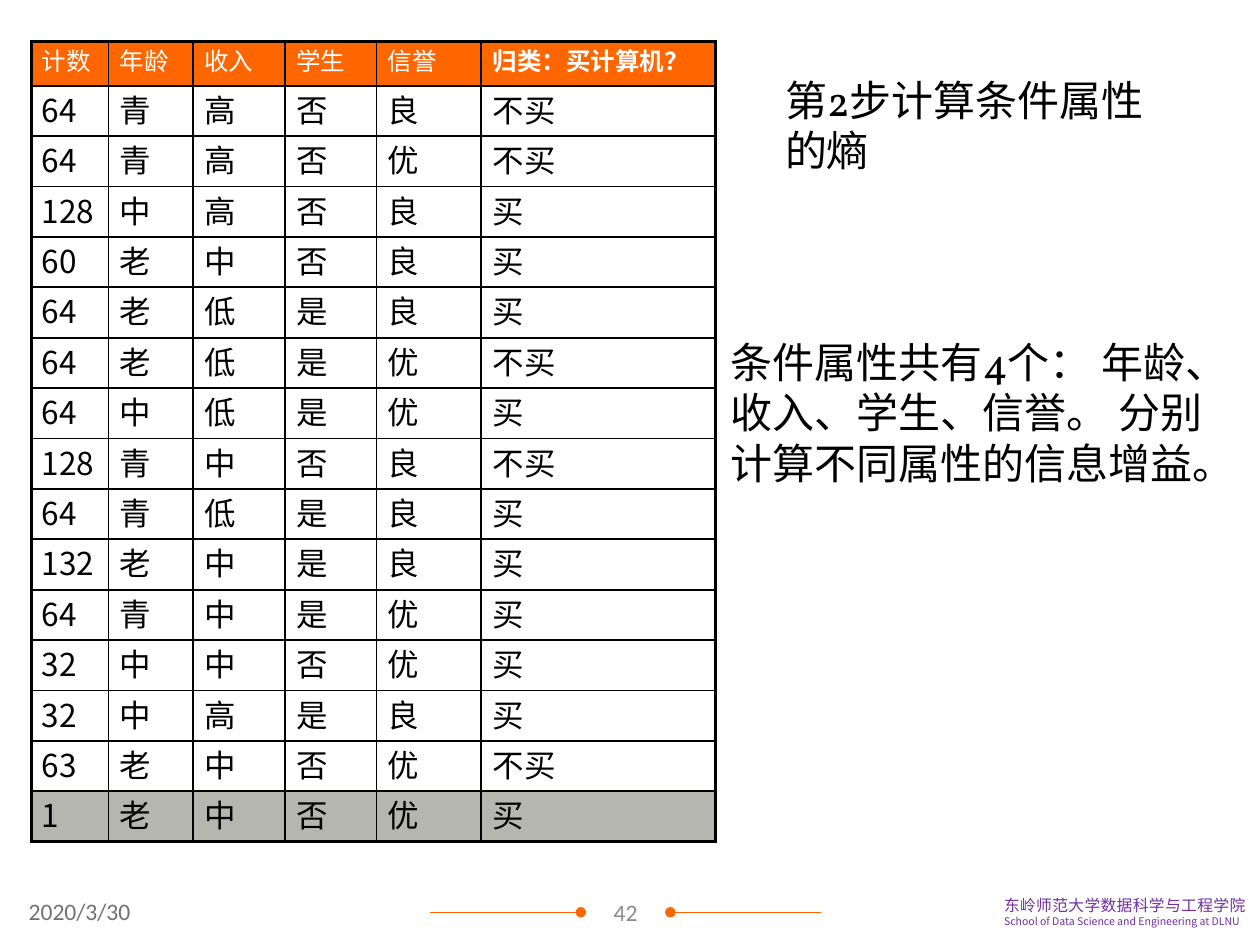
from dataclasses import dataclass

import lxml.etree
import pptx
import pptx.dml.color
import pptx.enum.shapes
import pptx.enum.text
import pptx.oxml.ns
import pptx.util
from pptx.util import Inches, Pt

RGBColor = pptx.dml.color.RGBColor
Align = pptx.enum.text.PP_ALIGN
Anchor = pptx.enum.text.MSO_ANCHOR
qn = pptx.oxml.ns.qn

BLACK = RGBColor(0x00, 0x00, 0x00)
WHITE = RGBColor(0xFF, 0xFF, 0xFF)
ORANGE = RGBColor(0xFF, 0x66, 0x00)
HIGHLIGHT = RGBColor(0xB4, 0xB6, 0xAF)
PAGE_GRAY = RGBColor(0x8C, 0x8C, 0x8C)
DATE_GRAY = RGBColor(0x76, 0x71, 0x71)
PURPLE = RGBColor(0x70, 0x30, 0xA0)

CJK, NUMERAL, FOOTER = "Noto Sans CJK SC", "Vollkorn", "Calibri"
INNER_BORDER, OUTER_BORDER = 1.1, 2.35

COLUMN_WIDTHS = [0.61, 0.67, 0.73, 0.73, 0.83, 1.86]
HEADER_HEIGHT, ROW_HEIGHT = 0.35, 0.4
HEADERS = ["计数", "年龄", "收入", "学生", "信誉", "归类：买计算机？"]
RECORDS = """
64 青 高 否 良 不买
64 青 高 否 优 不买
128 中 高 否 良 买
60 老 中 否 良 买
64 老 低 是 良 买
64 老 低 是 优 不买
64 中 低 是 优 买
128 青 中 否 良 不买
64 青 低 是 良 买
132 老 中 是 良 买
64 青 中 是 优 买
32 中 中 否 优 买
32 中 高 是 良 买
63 老 中 否 优 不买
1 老 中 否 优 买
"""


@dataclass
class TextRun:
    text: str
    size: float
    color: RGBColor
    font: str = CJK
    bold: bool = False
    spacing: float = 0


@dataclass
class TextLine:
    runs: list[TextRun]
    align: Align = Align.LEFT
    line_height: float | None = None


@dataclass
class TextBlock:
    box: tuple[float, float, float, float]
    lines: list[TextLine]
    insets: tuple[float, float, float, float] = (0.1, 0.05, 0.1, 0.05)
    anchor: Anchor = Anchor.TOP
    wrap: bool = True


def add_run(paragraph, item: TextRun) -> None:
    run = paragraph.add_run()
    run.text = item.text
    run.font.name = item.font
    run.font.size = Pt(item.size)
    run.font.bold = item.bold
    run.font.color.rgb = item.color
    properties = run.font._element
    if item.spacing:
        properties.set("spc", str(round(item.spacing * 100)))
    lxml.etree.SubElement(properties, qn("a:ea")).set("typeface", item.font)


def add_text(slide, block: TextBlock) -> None:
    shape = slide.shapes.add_textbox(*map(Inches, block.box))
    frame = shape.text_frame
    frame.word_wrap = block.wrap
    frame.vertical_anchor = block.anchor
    (frame.margin_left, frame.margin_top,
     frame.margin_right, frame.margin_bottom) = map(Inches, block.insets)
    for index, line in enumerate(block.lines):
        paragraph = frame.add_paragraph() if index else frame.paragraphs[0]
        paragraph.alignment = line.align
        if line.line_height:
            paragraph.line_spacing = Pt(line.line_height)
        for item in line.runs:
            add_run(paragraph, item)


def add_footer_line(slide, left: float, right: float, dot_end: str) -> None:
    y = Inches(7.24)
    connector = slide.shapes.add_connector(
        pptx.enum.shapes.MSO_CONNECTOR.STRAIGHT, Inches(left), y, Inches(right), y)
    connector.line.color.rgb = ORANGE
    connector.line.width = Pt(0.5)
    outline = connector.line._get_or_add_ln()
    lxml.etree.SubElement(outline, qn(f"a:{dot_end}")).set("type", "oval")
    lxml.etree.SubElement(connector._element.spPr, qn("a:effectLst"))


def set_borders(cell, widths: dict[str, float]) -> None:
    properties = cell._tc.get_or_add_tcPr()
    for index, (side, width) in enumerate(widths.items()):
        border = lxml.etree.Element(qn(f"a:ln{side}"), w=str(Pt(width)))
        fill = lxml.etree.SubElement(border, qn("a:solidFill"))
        lxml.etree.SubElement(fill, qn("a:srgbClr")).set("val", str(BLACK))
        properties.insert(index, border)


def add_records_table(slide) -> None:
    rows = [HEADERS] + [line.split() for line in RECORDS.strip().splitlines()]
    last_row, last_column = len(rows) - 1, len(HEADERS) - 1
    height = HEADER_HEIGHT + last_row * ROW_HEIGHT
    table = slide.shapes.add_table(
        len(rows), len(HEADERS), Inches(0.25), Inches(0.33),
        Inches(sum(COLUMN_WIDTHS)), Inches(height)).table
    for column, width in zip(table.columns, COLUMN_WIDTHS):
        column.width = Inches(width)
    for r, values in enumerate(rows):
        is_header = r == 0
        table.rows[r].height = Inches(HEADER_HEIGHT if is_header else ROW_HEIGHT)
        for c, value in enumerate(values):
            cell = table.cell(r, c)
            cell.margin_left = Inches(0.09 if c else 0.08)
            cell.margin_top = cell.margin_right = cell.margin_bottom = 0
            if is_header or r == last_row:
                cell.fill.solid()
                cell.fill.fore_color.rgb = ORANGE if is_header else HIGHLIGHT
            else:
                cell.fill.background()
            on_edge = {"L": c == 0, "R": c == last_column,
                       "T": is_header, "B": r == last_row}
            set_borders(cell, {side: OUTER_BORDER if edge else INNER_BORDER
                               for side, edge in on_edge.items()})
            add_run(cell.text_frame.paragraphs[0], TextRun(
                value, 14 if is_header else 18, WHITE if is_header else BLACK,
                bold=is_header and c == last_column))


def heading_line(before: str, number: str, after: str) -> TextLine:
    return TextLine([TextRun(before, 24, BLACK), TextRun(number, 24, BLACK, NUMERAL),
                     TextRun(after, 24, BLACK)], line_height=28.8)


def main() -> None:
    presentation = pptx.Presentation()
    presentation.slide_width, presentation.slide_height = Inches(10), Inches(7.5)
    slide = presentation.slides.add_slide(presentation.slide_layouts[6])

    # Footer: page number between two dotted lines, date, school
    add_text(slide, TextBlock(
        (4.61, 7.09, 0.71, 0.29),
        [TextLine([TextRun("42", 13.5, PAGE_GRAY, FOOTER)], Align.CENTER)],
        (0.07, 0.04, 0.07, 0.04), Anchor.MIDDLE))
    add_footer_line(slide, 3.41, 4.61, "tailEnd")
    add_footer_line(slide, 5.32, 6.52, "headEnd")
    add_text(slide, TextBlock(
        (0.13, 7.07, 1.2, 0.33),
        [TextLine([TextRun("2020/3/30", 13.5, DATE_GRAY, FOOTER)])]))
    add_text(slide, TextBlock(
        (7.87, 7.06, 2.18, 0.35),
        [TextLine([TextRun("东岭师范大学数据科学与工程学院", 9, PURPLE, spacing=0.2)],
                  Align.JUSTIFY, 10.8),
         TextLine([TextRun("School of Data Science and Engineering at DLNU", 6, PURPLE)],
                  Align.JUSTIFY, 7.2)],
        wrap=False))

    # Title and explanation
    add_text(slide, TextBlock(
        (0.69, 0.28, 8.62, 1.18),
        [heading_line("第", "2", "步计算条件属性的熵")],
        (5.54, 0.24, 0, 0), Anchor.MIDDLE))
    add_text(slide, TextBlock(
        (5.79, 2.63, 4.03, 1.21),
        [heading_line("条件属性共有", "4",
                      "个： 年龄、收入、学生、信誉。 分别计算不同属性的信息增益。")],
        (0.01, 0.04, 0, 0)))

    # Training records
    add_records_table(slide)

    presentation.save("out.pptx")


if __name__ == "__main__":
    main()
